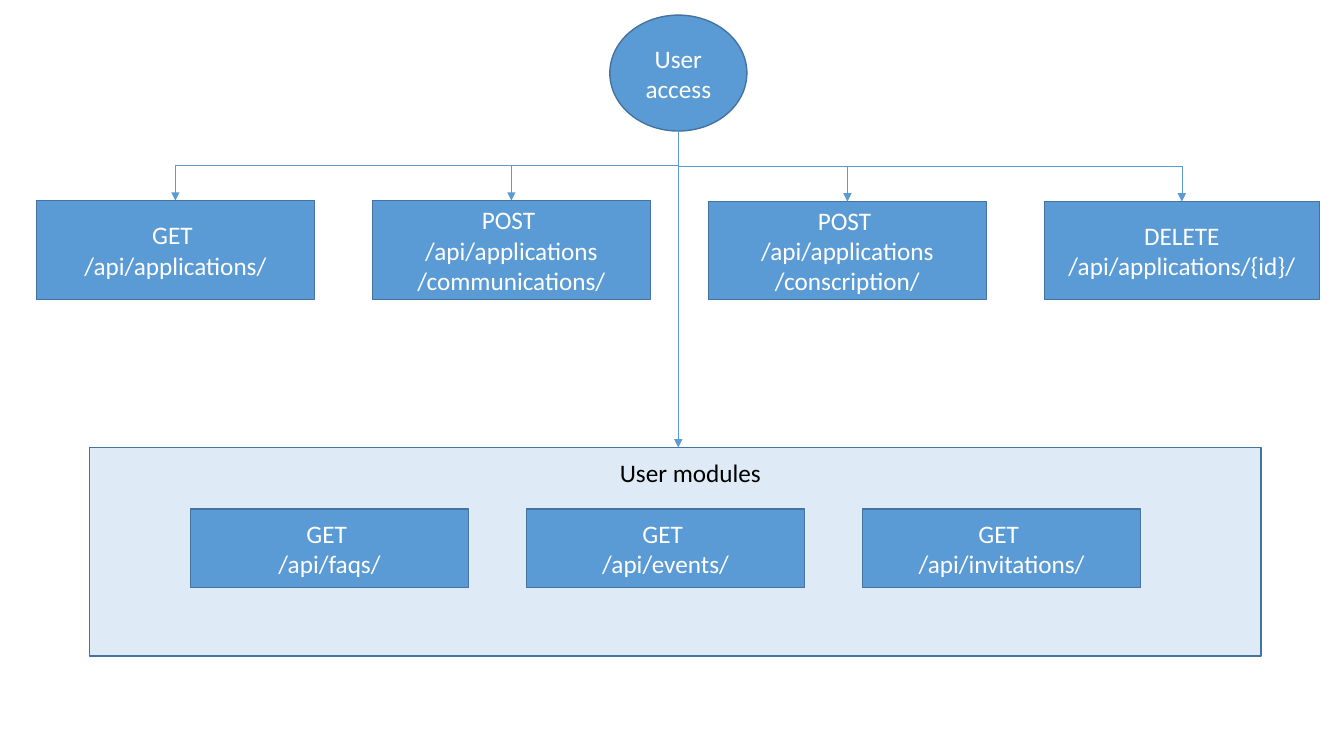
"""Draw the map of user access to API endpoints and user modules."""
from dataclasses import dataclass

import pptx
import pptx.dml.color
import pptx.enum.shapes
import pptx.enum.text
import pptx.oxml
import pptx.oxml.ns
import pptx.shapes.autoshape
import pptx.shapes.connector
import pptx.slide
import pptx.text.text
import pptx.util

WIDE, HIGH = pptx.util.Inches(13.333), pptx.util.Inches(7.5)
COL, ROW = WIDE / 40, HIGH / 30
STEP = 10
HUES = {"blue": "5B9BD5", "edge": "43739E", "pale": "DEEBF7",
        "white": "FFFFFF", "black": "000000"}
FORM = pptx.enum.shapes.MSO_SHAPE
LINK = pptx.enum.shapes.MSO_CONNECTOR


@dataclass
class Node:
    text: str
    col: float
    row: float
    wide: float
    high: float
    fill: str = "blue"
    form: FORM = FORM.RECTANGLE

    @property
    def mid(self) -> float:
        return self.col + self.wide / 2

    @property
    def base(self) -> float:
        return self.row + self.high

    def place(self) -> tuple[int, int, int, int]:
        return (round(self.col * COL), round(self.row * ROW),
                round(self.wide * COL), round(self.high * ROW))


PANEL = Node("", 2.67, 17.76, 34.86, 8.28, "pale")
USER = Node("User access", 18.15, 0.6, 4.08, 4.6, form=FORM.OVAL)
TITLE = Node("User modules", 18.15, 17.96, 4.86, 1.6)
CALLS = [Node(text, 1.08 + STEP * num, row, wide, 11.88 - row)
         for num, (text, row, wide) in enumerate([
             ("GET \v/api/applications/", 7.96, 8.28),
             ("POST \v/api/applications\v/communications/", 7.96, 8.28),
             ("POST \v/api/applications\v/conscription/", 8, 8.28),
             ("DELETE /api/applications/{id}/", 8, 8.19)])]
PARTS = [Node(f"GET \v/api/{name}/", 5.67 + STEP * num, 20.2, 8.28, 3.12)
         for num, name in enumerate(["faqs", "events", "invitations"])]


def hue(name: str) -> pptx.dml.color.RGBColor:
    return pptx.dml.color.RGBColor.from_string(HUES[name])


def style(frame: pptx.text.text.TextFrame, ink: str) -> None:
    for para in frame.paragraphs:
        for run in para.runs:
            run.font.name = "Calibri"
            run.font.size = pptx.util.Pt(18)
            run.font.color.rgb = hue(ink)


def draw(slide: pptx.slide.Slide, node: Node) -> None:
    shape = slide.shapes.add_shape(node.form, *node.place())
    shape.shadow.inherit = False
    shape.fill.solid()
    shape.fill.fore_color.rgb = hue(node.fill)
    shape.line.color.rgb = hue("edge")
    shape.line.width = pptx.util.Pt(1)
    if node.text:
        frame = shape.text_frame
        frame.text = node.text
        frame.word_wrap = True
        frame.vertical_anchor = pptx.enum.text.MSO_ANCHOR.MIDDLE
        frame.paragraphs[0].alignment = pptx.enum.text.PP_ALIGN.CENTER
        style(frame, "white")


def label(slide: pptx.slide.Slide, node: Node) -> None:
    frame = slide.shapes.add_textbox(*node.place()).text_frame
    frame.text = node.text
    frame.word_wrap = False
    frame.auto_size = pptx.enum.text.MSO_AUTO_SIZE.SHAPE_TO_FIT_TEXT
    style(frame, "black")


def finish(link: pptx.shapes.connector.Connector) -> None:
    link.line.color.rgb = hue("blue")
    link.line.width = pptx.util.Pt(0.5)
    make = pptx.oxml.ns.qn
    tip = link.line._get_or_add_ln().makeelement(
        make("a:tailEnd"), {"type": "triangle"})
    link.line._get_or_add_ln().append(tip)
    props = link._element.spPr
    props.append(props.makeelement(make("a:effectLst"), {}))


def bend(slide: pptx.slide.Slide, start: Node, end: Node) -> None:
    """Turn an elbow a quarter so that it leaves and arrives vertically."""
    drop = (end.row - start.base) * ROW
    span = abs(end.mid - start.mid) * COL
    left = (start.mid + end.mid) / 2 * COL - drop / 2
    top = (start.base + end.row) / 2 * ROW - span / 2
    right = end.mid > start.mid
    ends = (left + drop, left) if right else (left, left + drop)
    link = slide.shapes.add_connector(
        LINK.ELBOW, round(ends[0]), round(top),
        round(ends[1]), round(top + span))
    link.rotation = 270 if right else 90
    link._element.spPr.xfrm.set("rot", str((270 if right else 90) * 60000))
    finish(link)


def fall(slide: pptx.slide.Slide, start: Node, end: Node) -> None:
    axis = round(start.mid * COL)
    finish(slide.shapes.add_connector(
        LINK.STRAIGHT, axis, round(start.base * ROW),
        axis, round(end.row * ROW)))


def main() -> None:
    deck = pptx.Presentation()
    deck.slide_width, deck.slide_height = WIDE, HIGH
    slide = deck.slides.add_slide(deck.slide_layouts[6])
    for node in [PANEL, USER, *CALLS, *PARTS]:
        draw(slide, node)
    label(slide, TITLE)
    for call in CALLS:
        bend(slide, USER, call)
    fall(slide, USER, PANEL)
    deck.save("out.pptx")


if __name__ == "__main__":
    main()
